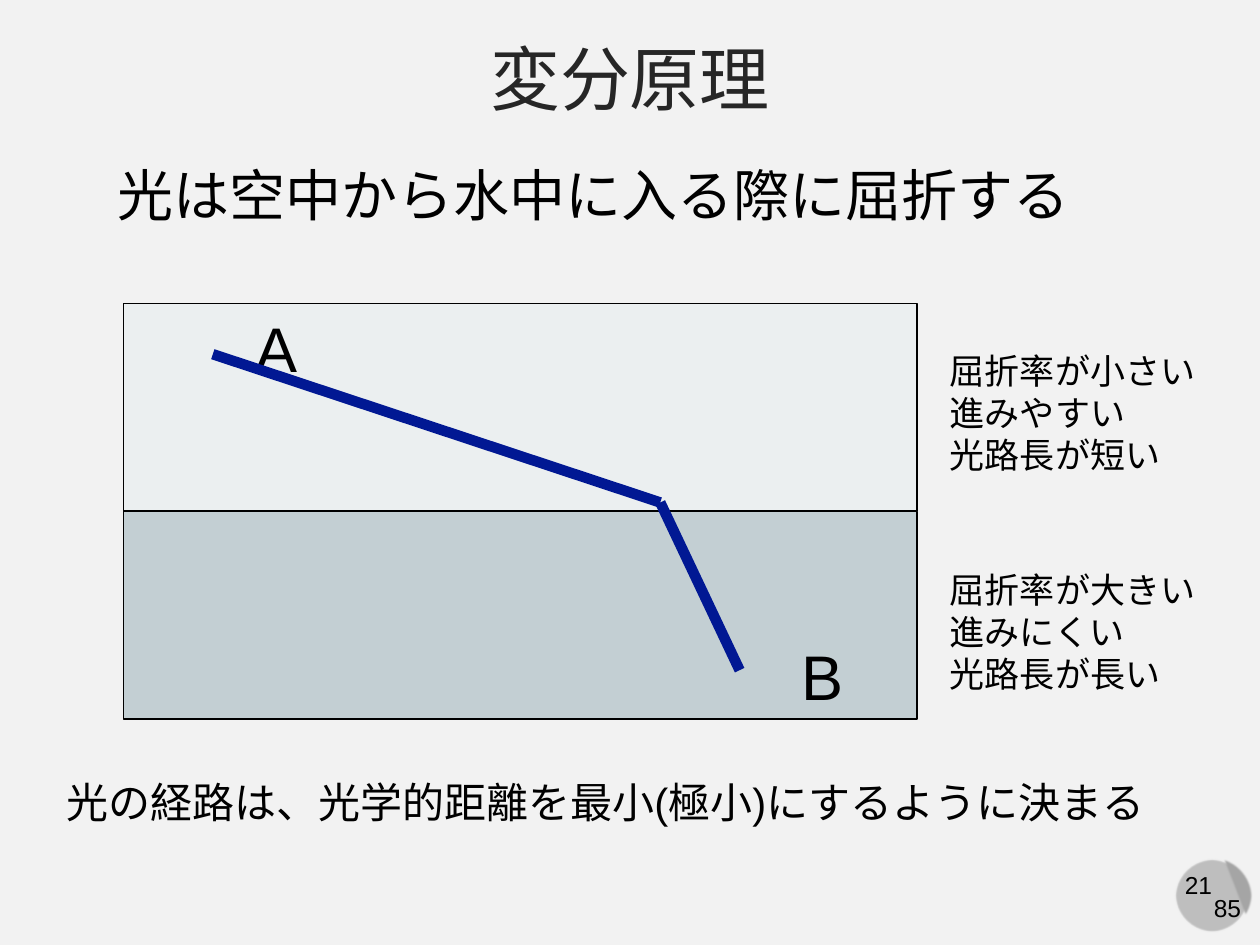
from dataclasses import dataclass

from lxml import etree
from pptx import Presentation
from pptx.dml.color import RGBColor
from pptx.enum.shapes import MSO_CONNECTOR, MSO_SHAPE
from pptx.enum.text import MSO_ANCHOR, PP_ALIGN
from pptx.oxml.ns import qn
from pptx.util import Cm, Pt

RECTANGLE, ELLIPSE, CHORD = MSO_SHAPE.RECTANGLE, MSO_SHAPE.OVAL, MSO_SHAPE.CHORD
STRAIGHT = MSO_CONNECTOR.STRAIGHT
LEFT, CENTER = PP_ALIGN.LEFT, PP_ALIGN.CENTER
MIDDLE = MSO_ANCHOR.MIDDLE


@dataclass(frozen=True)
class Theme:
    font: str = "Arial"
    background: str = "F2F2F2"
    ink: str = "000000"
    title_ink: str = "262626"
    air: str = "EBEFF0"
    water: str = "C3CFD3"
    ray: str = "011893"
    badge: str = "BFBFBF"
    badge_edge: str = "D9D9D9"
    badge_chord: str = "A6A6A6"
    title_size: int = 40
    label_size: int = 36
    heading_size: int = 32
    conclusion_size: int = 24
    note_size: int = 20
    number_size: int = 14


THEME = Theme()


def color(value):
    return RGBColor.from_string(value)


def write(frame, text, size, ink=THEME.ink, align=LEFT):
    """Fill a text frame, one paragraph per line of text."""
    for index, line in enumerate(text.split("\n")):
        para = frame.paragraphs[0] if index == 0 else frame.add_paragraph()
        para.alignment = align
        span = para.add_run()
        span.text = line
        span.font.size = Pt(size)
        span.font.name = THEME.font
        span.font.color.rgb = color(ink)


def add_text(page, text, box, size, wrap=True, **style):
    frame = page.shapes.add_textbox(*map(Cm, box)).text_frame
    frame.word_wrap = wrap
    write(frame, text, size, **style)


def add_area(page, kind, box, fill, line=None):
    shape = page.shapes.add_shape(kind, *map(Cm, box))
    shape.shadow.inherit = False
    shape.fill.solid()
    shape.fill.fore_color.rgb = color(fill)
    if line:
        shape.line.color.rgb = color(line)
        shape.line.width = Pt(1)
    else:
        shape.line.fill.background()
    return shape


def soften_edge(shape):
    effects = shape._element.spPr.find(qn("a:effectLst"))
    etree.SubElement(effects, qn("a:softEdge"), rad=str(Pt(1)))


def add_ray(page, start, end):
    ray = page.shapes.add_connector(STRAIGHT, *map(Cm, start + end))
    ray.line.color.rgb = color(THEME.ray)
    ray.line.width = Pt(6)
    etree.SubElement(ray._element.spPr, qn("a:effectLst"))


def add_title(page, text, box):
    title = page.shapes.title
    title.left, title.top, title.width, title.height = map(Cm, box)
    title.text_frame.vertical_anchor = MIDDLE
    write(title.text_frame, text, THEME.title_size, ink=THEME.title_ink, align=CENTER)


def add_badge(page, left, top, number, total):
    """Page number over page count on a round badge."""
    disc = add_area(page, ELLIPSE, (left + 0.1, top + 0.05, 1.47, 1.47),
                    THEME.badge, THEME.badge_edge)
    soften_edge(disc)
    add_text(page, number, (left, top + 0.15, 1.12, 0.86), THEME.number_size,
             wrap=False, align=CENTER)
    chord = add_area(page, CHORD, (left + 0.08, top, 1.57, 1.57), THEME.badge_chord)
    # Angles are held in 60000ths of a degree, adjustments in 100000ths.
    for index, degrees in enumerate((27, 141.42)):
        chord.adjustments[index] = degrees * 0.6
    chord.rotation = 255
    soften_edge(chord)
    add_text(page, total, (left + 0.61, top + 0.61, 1.07, 0.86), THEME.number_size,
             wrap=False, align=CENTER)


def add_refraction(page, left, top, width, height):
    """Air above water, with a ray bending from A to B."""
    layer = height / 2
    for index, fill in enumerate((THEME.air, THEME.water)):
        add_area(page, RECTANGLE, (left, top + index * layer, width, layer),
                 fill, THEME.ink)
    for name, x, y in (("A", 2.41, 0), ("B", 13.41, 6.61)):
        add_text(page, name, (left + x, top + y, 1.32, 1.8), THEME.label_size)
    route = [(left + x, top + y) for x, y in ((1.8, 1.02), (10.82, 4.01), (12.42, 7.39))]
    for start, end in zip(route, route[1:]):
        add_ray(page, start, end)


def add_notes(page, left, top, pitch, notes):
    for index, note in enumerate(notes):
        add_text(page, note, (left, top + index * pitch, 5.51, 2.82),
                 THEME.note_size, wrap=False)


def main():
    deck = Presentation()
    deck.slide_width, deck.slide_height = Cm(25.4), Cm(19.05)
    page = deck.slides.add_slide(deck.slide_layouts[5])
    page.background.fill.solid()
    page.background.fill.fore_color.rgb = color(THEME.background)

    add_badge(page, 23.6, 17.27, "21", "85")
    add_title(page, "変分原理", (0, 0.53, 25.4, 2.08))
    add_refraction(page, 2.49, 6.12, 16, 8.38)
    add_notes(page, 18.9, 6.93, 4.4, (
        "屈折率が小さい\n進みやすい\n光路長が短い",
        "屈折率が大きい\n進みにくい\n光路長が長い",
    ))
    add_text(page, "光の経路は、光学的距離を最小(極小)にするように決まる",
             (1.09, 15.52, 22.45, 1.27), THEME.conclusion_size)
    add_text(page, "光は空中から水中に入る際に屈折する",
             (2.11, 3.12, 19.89, 1.63), THEME.heading_size)
    deck.save("out.pptx")


if __name__ == "__main__":
    main()
